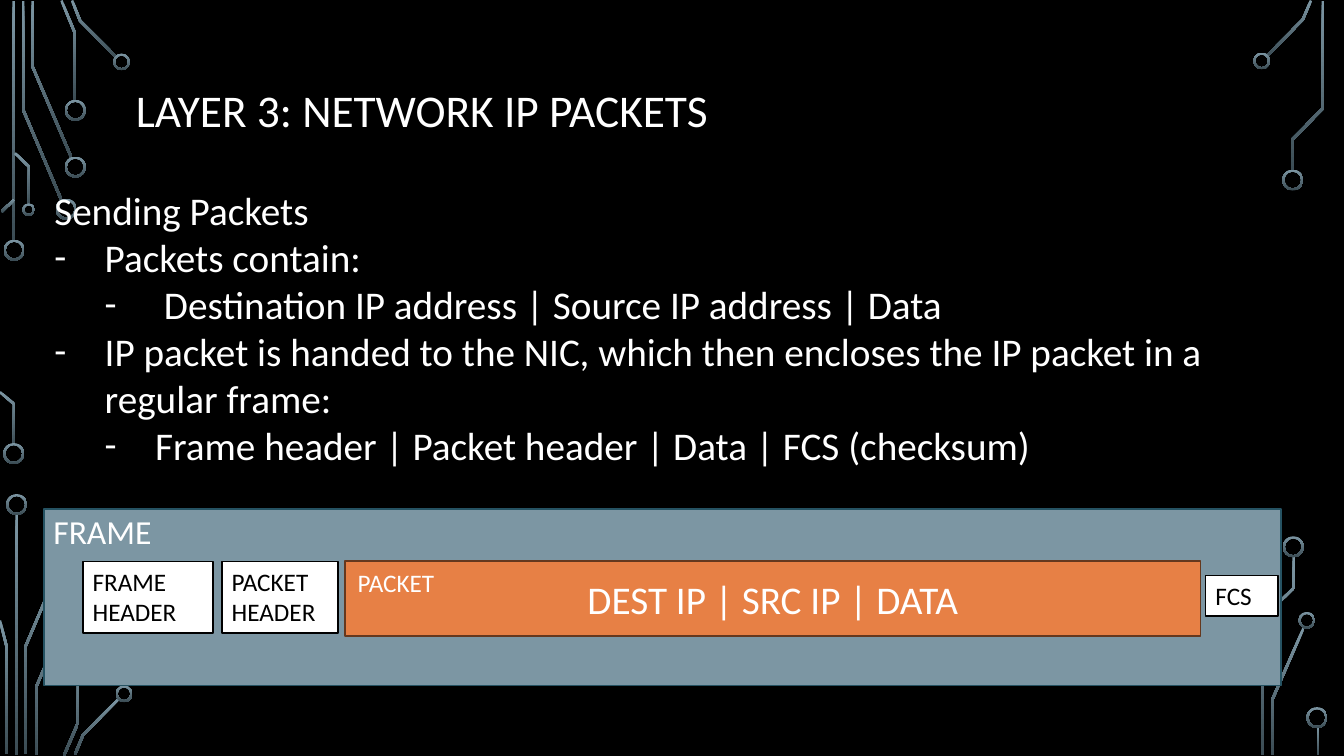
import math
from dataclasses import dataclass

import pptx
import pptx.dml.color
import pptx.enum.shapes
import pptx.enum.text
import pptx.util
from lxml import etree

Pt = pptx.util.Pt
Shape = pptx.enum.shapes.MSO_SHAPE
Align = pptx.enum.text.PP_ALIGN
Anchor = pptx.enum.text.MSO_ANCHOR


@dataclass(frozen=True)
class Theme:
    """Hold the colours and type sizes."""
    font: str = "Calibri"
    black: str = "000000"
    white: str = "FFFFFF"
    steel: str = "7C96A3"
    dusk: str = "3B4C54"
    teal: str = "255262"
    amber: str = "E78045"
    brown: str = "65381E"
    title: float = 32.4
    body: float = 28
    head: float = 24
    label: float = 18
    edge: float = 1.25
    wire: float = 1.8
    rim: float = 1.44


THEME = Theme()

LEFT_TOP = (
    [[(9.7, 0.7), (9.7, 172.8)],
     [(16.6, 0.7), (16.6, 78.5), (43.9, 142.9)],
     [(23.4, 0.7), (23.4, 47.9), (51.1, 112.7)],
     [(43.9, 0.4), (53.6, 23.8), (53.6, 72)],
     [(51.5, 0.4), (57.2, 14.8), (83.2, 41)],
     [(1.1, 151.2), (10.1, 142.6)],
     [(0, 280.1), (10.1, 288.7), (10.1, 317.5)],
     [(10.8, 109.4), (20.9, 119.2), (20.9, 146.2)]],
    [(10.1, 178.7, 15), (9.8, 324, 15), (47.2, 149.4, 15), (53.8, 119.3, 15),
     (53.8, 78.8, 15), (86.8, 44.2, 12), (20.5, 149.8, 9)])
LEFT_LOW = (
    [[(11.9, 17.2), (11.9, 189.3)],
     [(18.4, 188.6), (18.4, 111.5), (45.7, 47.1)],
     [(0, 93.2), (4.7, 111.5), (4.7, 188.6)],
     [(25.6, 189.3), (25.6, 141.4), (52.9, 77.3)],
     [(45.7, 189.6), (55.8, 166.2), (55.8, 118)],
     [(53.6, 188.9), (59.4, 174.9), (85, 149)]],
    [(11.9, 10.4, 15), (88.6, 145.6, 12)])
RIGHT = (
    [[(17, 40), (42.6, 14), (48.4, 0.4)],
     [(35, 121.7), (35, 99.7), (57, 77.4), (57, 0.7)],
     [(21, 539.3), (21, 499.3), (43, 448.9)],
     [(13.8, 539.3), (13.8, 441.7), (36.1, 420.1), (36.1, 397.4)],
     [(53.4, 519.1), (53.4, 539.3)]],
    [(13.2, 43.5, 12), (35.4, 128.6, 15), (45.5, 443.1, 12),
     (35.8, 390.6, 15), (52.7, 512.6, 15)])


def tint(code):
    """Turn a hex code into a colour."""
    return pptx.dml.color.RGBColor.from_string(code)


def apply(thing, form):
    """Set each attribute named in the dict."""
    for name, value in form.items():
        setattr(thing, name, value)


def fade(shape):
    """Give a circuit part its gradient and no outline."""
    shape.shadow.inherit = False
    shape.line.fill.background()
    shape.fill.gradient()
    shape.fill.gradient_angle = 270
    for stop, code in zip(shape.fill.gradient_stops, (THEME.steel, THEME.dusk)):
        stop.color.rgb = tint(code)


def ribbon(line):
    """Return the outline of a bent wire with mitred corners."""
    norms = []
    for (ax, ay), (bx, by) in zip(line, line[1:]):
        size = math.hypot(bx - ax, by - ay)
        norms.append(((ay - by) / size, (bx - ax) / size))
    one, two = [], []
    for (x, y), (px, py), (qx, qy) in zip(line, norms[:1] + norms, norms + norms[-1:]):
        part = THEME.wire / 2 / (1 + px * qx + py * qy)
        dx, dy = (px + qx) * part, (py + qy) * part
        one.append((x + dx, y + dy))
        two.append((x - dx, y - dy))
    return one + two[::-1]


def circuit(slide, box, parts):
    """Draw the wires and rings of one edge from the box corner."""
    left, top = box[:2]
    wires, rings = parts
    for wire in wires:
        dots = [((left + x) * 100, (top + y) * 100) for x, y in ribbon(wire)]
        pen = slide.shapes.build_freeform(*dots[0], scale=127.0)
        pen.add_line_segments(dots[1:], close=True)
        fade(pen.convert_to_shape())
    for x, y, size in rings:
        spot = (left + x - size / 2, top + y - size / 2, size, size)
        ring = slide.shapes.add_shape(Shape.DONUT, *map(Pt, spot))
        ring.adjustments[0] = THEME.rim / size
        fade(ring)


def write(shape, lines, size, ink=THEME.white, anchor=Anchor.TOP, **form):
    """Put lines of text into a shape and return its paragraphs."""
    frame = shape.text_frame
    apply(frame, {"word_wrap": True, "vertical_anchor": anchor,
                  "text": "\n".join(lines)})
    for para in frame.paragraphs:
        apply(para, {"alignment": Align.LEFT, **form})
        apply(para.font, {"name": THEME.font, "size": Pt(size)})
        para.font.color.rgb = tint(ink)
    return frame.paragraphs


def note(slide, box, lines, size, **form):
    """Add a text box and return its paragraphs."""
    return write(slide.shapes.add_textbox(*map(Pt, box)), lines, size, **form)


def block(slide, box, fill, edge):
    """Add a filled and outlined rectangle."""
    shape = slide.shapes.add_shape(Shape.RECTANGLE, *map(Pt, box))
    shape.shadow.inherit = False
    shape.fill.solid()
    shape.fill.fore_color.rgb = tint(fill)
    shape.line.color.rgb = tint(edge)
    shape.line.width = Pt(THEME.edge)
    return shape


def points(slide, box):
    """Write the dashed list of points."""
    rows = [(0, "Sending Packets"),
            (1, "Packets contain:"),
            (2, " Destination IP address | Source IP address | Data"),
            (1, "IP packet is handed to the NIC, which then encloses "
                "the IP packet in a regular frame:"),
            (2, "Frame header | Packet header | Data | FCS (checksum)")]
    paras = note(slide, box, [text for _, text in rows], THEME.body)
    for para, (depth, _) in zip(paras, rows):
        if depth:
            para.level = depth - 1
            props = para._p.get_or_add_pPr()
            props.set("marL", str(Pt(36 * depth)))
            props.set("indent", str(Pt(-36)))
            space = props.nsmap["a"]
            etree.SubElement(props, f"{{{space}}}buFont", typeface=THEME.font)
            etree.SubElement(props, f"{{{space}}}buChar", char="-")


def diagram(slide, box):
    """Draw the frame with its header, packet and checksum fields."""
    left, top = box[:2]

    def place(x, y, wide, high):
        """Move a box into the frame."""
        return left + x, top + y, wide, high

    block(slide, box, THEME.steel, THEME.teal)
    packet = block(slide, place(214.6, 37.4, 611.3, 53.3), THEME.amber, THEME.brown)
    write(packet, ["DEST IP | SRC IP | DATA"], THEME.body,
          anchor=Anchor.MIDDLE, alignment=Align.CENTER)
    note(slide, place(-0.7, -2.2, 92.9, 36), ["FRAME"], THEME.head)
    note(slide, place(216.7, 38.2, 126.7, 28.8), ["PACKET"], THEME.label)
    for text, spot in (("FRAME HEADER", (27.4, 37.4, 92.9, 51.1)),
                       ("PACKET HEADER", (126.7, 37.4, 82.8, 51.1)),
                       ("FCS", (829.4, 47.5, 51.8, 28.8))):
        field = block(slide, place(*spot), THEME.white, THEME.black)
        write(field, [text], THEME.label, ink=THEME.black)


def main():
    """Build and save the slide."""
    deck = pptx.Presentation()
    apply(deck, {"slide_width": Pt(960), "slide_height": Pt(540)})
    slide = deck.slides.add_slide(deck.slide_layouts[6])
    slide.background.fill.solid()
    slide.background.fill.fore_color.rgb = tint(THEME.black)
    circuit(slide, (0, 0, 96, 350), LEFT_TOP)
    circuit(slide, (0, 350, 96, 190), LEFT_LOW)
    circuit(slide, (888, 0, 72, 540), RIGHT)
    note(slide, (90, 61.2, 779.8, 38.2), ["LAYER 3: NETWORK IP PACKETS"],
         THEME.title, anchor=Anchor.MIDDLE, line_spacing=0.9)
    points(slide, (31.7, 129.6, 896.4, 278.6))
    diagram(slide, (31.7, 363.6, 883.4, 126))
    deck.save("out.pptx")


if __name__ == "__main__":
    main()
